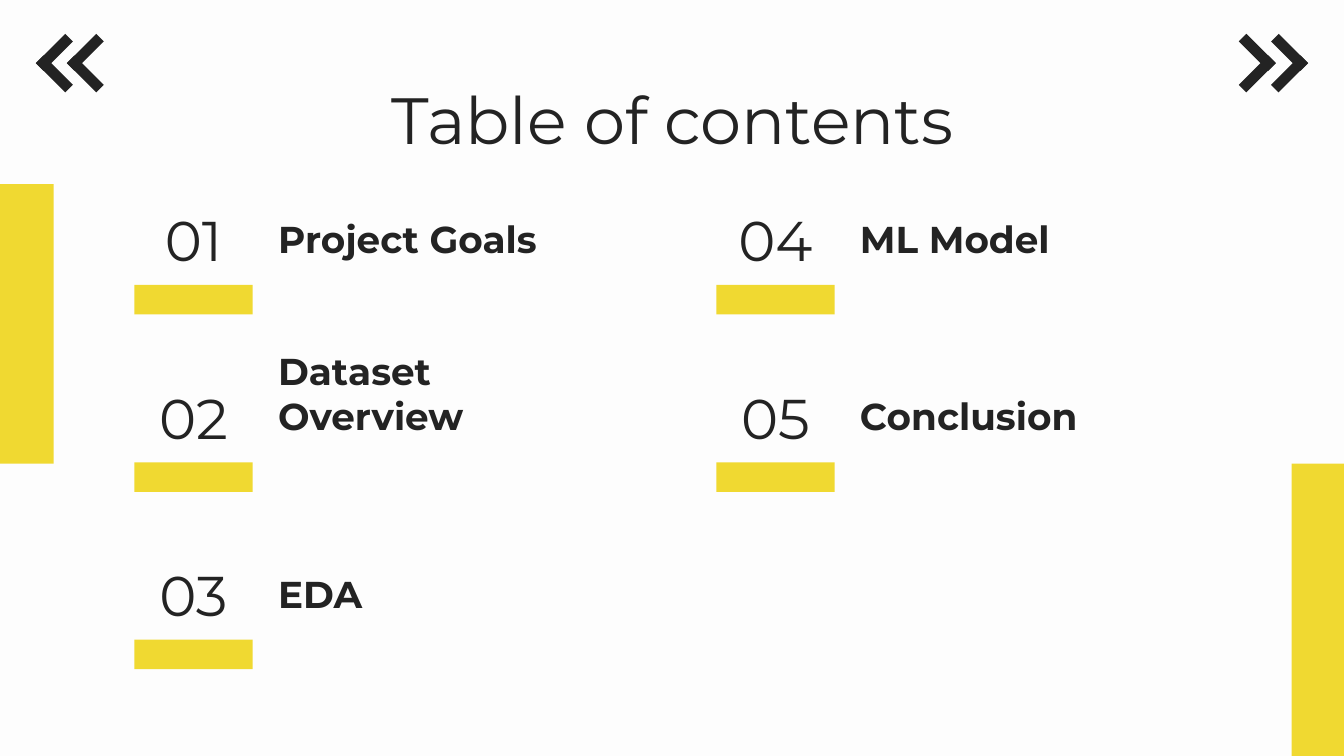
from pptx import Presentation
from pptx.dml.color import RGBColor as RGB
from pptx.enum.shapes import MSO_SHAPE as Shape
from pptx.enum.text import MSO_ANCHOR as Anchor, PP_ALIGN as Align
from pptx.util import Inches, Pt

COLORS = {"paper": "FDFDFD", "ink": "232323", "gold": "F0D931"}
TOPICS = ["Project Goals", "Dataset Overview", "EDA", "ML Model", "Conclusion"]
ROWS = 3


class Deck:
    font = "Montserrat"

    def __init__(self, width, height):
        self.prs = Presentation()
        self.prs.slide_width = Inches(width)
        self.prs.slide_height = Inches(height)
        self.slide = self.prs.slides.add_slide(self.prs.slide_layouts[6])
        fill = self.slide.background.fill
        fill.solid()
        fill.fore_color.rgb = RGB.from_string(COLORS["paper"])

    def bar(self, left, top, width, height, color="gold", angle=0):
        box = [Inches(n) for n in (left, top, width, height)]
        bar = self.slide.shapes.add_shape(Shape.RECTANGLE, *box)
        bar.shadow.inherit = False
        bar.fill.solid()
        bar.fill.fore_color.rgb = RGB.from_string(COLORS[color])
        bar.line.fill.background()
        bar.rotation = angle

    def arrow(self, left, upper, lower):
        self.bar(left, 0.51, 0.31, 0.08, "ink", lower)
        self.bar(left, 0.35, 0.31, 0.08, "ink", upper)

    def text(self, words, left, top, width, height, size,
             anchor=Anchor.MIDDLE, align=Align.CENTER, bold=False):
        box = [Inches(n) for n in (left, top, width, height)]
        frame = self.slide.shapes.add_textbox(*box).text_frame
        frame.word_wrap = True
        frame.vertical_anchor = anchor
        frame.margin_left = frame.margin_right = Inches(0.1)
        frame.margin_top = frame.margin_bottom = Inches(0.1)
        para = frame.paragraphs[0]
        para.alignment = align
        run = para.add_run()
        run.text = words
        run.font.name = self.font
        run.font.size = Pt(size)
        run.font.bold = bold
        run.font.color.rgb = RGB.from_string(COLORS["ink"])

    def topic(self, index, words):
        col, row = divmod(index, ROWS)
        left = 1 + 4.33 * col
        top = 1.43 + 1.32 * row
        self.text(f"{index + 1:02}", left, top, 0.88, 0.7, 30)
        self.text(words, left + 0.97, top + 0.17, 2.71, 0.44, 20,
                  Anchor.BOTTOM, Align.LEFT, True)
        self.bar(left, top + 0.69, 0.88, 0.22)


def main():
    deck = Deck(10, 10 * 9 / 16)
    deck.bar(9.61, 3.45, 0.79, 2.18)
    deck.bar(-0.39, 1.37, 0.79, 2.08)
    for left in (9.2, 9.44):
        deck.arrow(left, 45, 315)
    for left in (0.48, 0.25):
        deck.arrow(left, 315, 45)
    deck.text("Table of contents", 0.79, 0.49, 8.43, 0.63, 35, Anchor.TOP)
    for index, words in enumerate(TOPICS):
        deck.topic(index, words)
    deck.prs.save("out.pptx")


if __name__ == "__main__":
    main()
